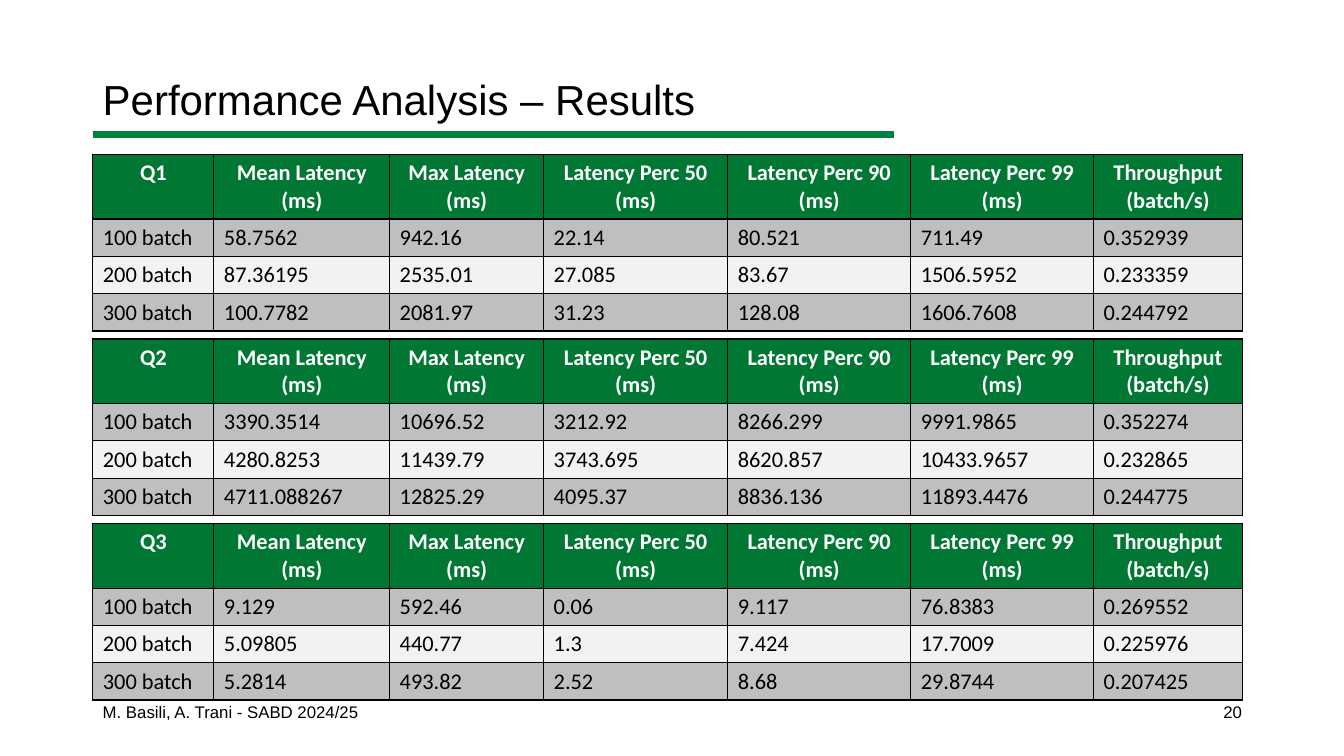
from lxml.etree import SubElement
from pptx import Presentation
from pptx.dml.color import RGBColor
from pptx.enum.shapes import MSO_CONNECTOR
from pptx.enum.text import MSO_ANCHOR, PP_ALIGN
from pptx.oxml.ns import qn
from pptx.util import Cm, Pt

LEFT = 2.34
TABLE_TOP = 3.89
TABLE_PITCH = 4.65
HEADER_HEIGHT = 1.63
BATCH_HEIGHT = 0.94
COLUMN_WIDTHS = [3.05, 4.43, 3.88, 4.64, 4.61, 4.61, 3.75]
BATCH_FILLS = ["BFBFBF", "F2F2F2"]
METRICS = [
    "Mean Latency (ms)",
    "Max Latency\n(ms)",
    "Latency Perc 50\n(ms)",
    "Latency Perc 90\n(ms)",
    "Latency Perc 99\n(ms)",
    "Throughput\n(batch/s)",
]
RESULTS = {
    "Q1": [
        ["100 batch", "58.7562", "942.16", "22.14", "80.521", "711.49", "0.352939"],
        ["200 batch", "87.36195", "2535.01", "27.085", "83.67", "1506.5952", "0.233359"],
        ["300 batch", "100.7782", "2081.97", "31.23", "128.08", "1606.7608", "0.244792"],
    ],
    "Q2": [
        ["100 batch", "3390.3514", "10696.52", "3212.92", "8266.299", "9991.9865", "0.352274"],
        ["200 batch", "4280.8253", "11439.79", "3743.695", "8620.857", "10433.9657", "0.232865"],
        ["300 batch", "4711.088267", "12825.29", "4095.37", "8836.136", "11893.4476", "0.244775"],
    ],
    "Q3": [
        ["100 batch", "9.129", "592.46", "0.06", "9.117", "76.8383", "0.269552"],
        ["200 batch", "5.09805", "440.77", "1.3", "7.424", "17.7009", "0.225976"],
        ["300 batch", "5.2814", "493.82", "2.52", "8.68", "29.8744", "0.207425"],
    ],
}
TITLE_FONT = {"name": "Arial", "size": Pt(30), "bold": False}
FOOTER_FONT = {"name": "Arial", "size": Pt(12), "bold": False}
HEADER_FONT = {"name": "Calibri", "size": Pt(16), "bold": True}
BATCH_FONT = {"name": "Calibri", "size": Pt(16), "bold": False}


def paint(color_format, hex_color):
    color_format.rgb = RGBColor.from_string(hex_color)


def apply_format(target, values):
    for attribute, value in values.items():
        setattr(target, attribute, value)


def write_text(frame, text, font, color="000000", align=PP_ALIGN.LEFT, spacing=1.0):
    frame.text = text
    for paragraph in frame.paragraphs:
        apply_format(paragraph, {"alignment": align, "line_spacing": spacing})
        for run in paragraph.runs:
            apply_format(run.font, font)
            paint(run.font.color, color)


def add_label(slide, box, text, font, **layout):
    frame = slide.shapes.add_textbox(*map(Cm, box)).text_frame
    apply_format(frame, {"word_wrap": True, "vertical_anchor": MSO_ANCHOR.MIDDLE})
    write_text(frame, text, font, **layout)


def add_title_rule(slide):
    rule = slide.shapes.add_connector(
        MSO_CONNECTOR.STRAIGHT, Cm(LEFT), Cm(3.38), Cm(22.53), Cm(3.38)
    )
    rule.line.width = Pt(5)
    paint(rule.line.color, "00823F")
    SubElement(rule._element.spPr, qn("a:effectLst"))


def add_borders(cell):
    properties = cell._tc.get_or_add_tcPr()
    for side in ("a:lnL", "a:lnR", "a:lnT", "a:lnB"):
        border = SubElement(properties, qn(side), w=str(Pt(1)))
        fill = SubElement(border, qn("a:solidFill"))
        SubElement(fill, qn("a:srgbClr"), val="000000")


def fill_row(row, texts, fill, font, **layout):
    for cell, text in zip(row.cells, texts):
        add_borders(cell)
        cell.fill.solid()
        paint(cell.fill.fore_color, fill)
        write_text(cell.text_frame, text, font, **layout)


def add_results_table(slide, top, query, batches):
    heights = [HEADER_HEIGHT] + [BATCH_HEIGHT] * len(batches)
    table = slide.shapes.add_table(
        len(heights), len(COLUMN_WIDTHS),
        Cm(LEFT), Cm(top), Cm(sum(COLUMN_WIDTHS)), Cm(sum(heights)),
    ).table
    apply_format(table, {"first_row": True, "horz_banding": False})
    for column, width in zip(table.columns, COLUMN_WIDTHS):
        column.width = Cm(width)
    for row, height in zip(table.rows, heights):
        row.height = Cm(height)
    fill_row(table.rows[0], [query] + METRICS, "007834", HEADER_FONT,
             color="FFFFFF", align=PP_ALIGN.CENTER)
    for index, batch in enumerate(batches):
        fill_row(table.rows[index + 1], batch, BATCH_FILLS[index % 2], BATCH_FONT)


def main():
    deck = Presentation()
    apply_format(deck, {"slide_width": Cm(33.87), "slide_height": Cm(19.05)})
    slide = deck.slides.add_slide(deck.slide_layouts[6])
    add_title_rule(slide)
    add_label(slide, (LEFT, 0.74, 29.21, 3.68), "Performance Analysis – Results",
              TITLE_FONT, spacing=0.9)
    add_label(slide, (LEFT, 17.42, 7.62, 1.02), "M. Basili, A. Trani - SABD 2024/25",
              FOOTER_FONT)
    add_label(slide, (23.93, 17.42, 7.62, 1.02), "20", FOOTER_FONT, align=PP_ALIGN.RIGHT)
    for index, (query, batches) in enumerate(RESULTS.items()):
        add_results_table(slide, TABLE_TOP + index * TABLE_PITCH, query, batches)
    deck.save("out.pptx")


if __name__ == "__main__":
    main()
